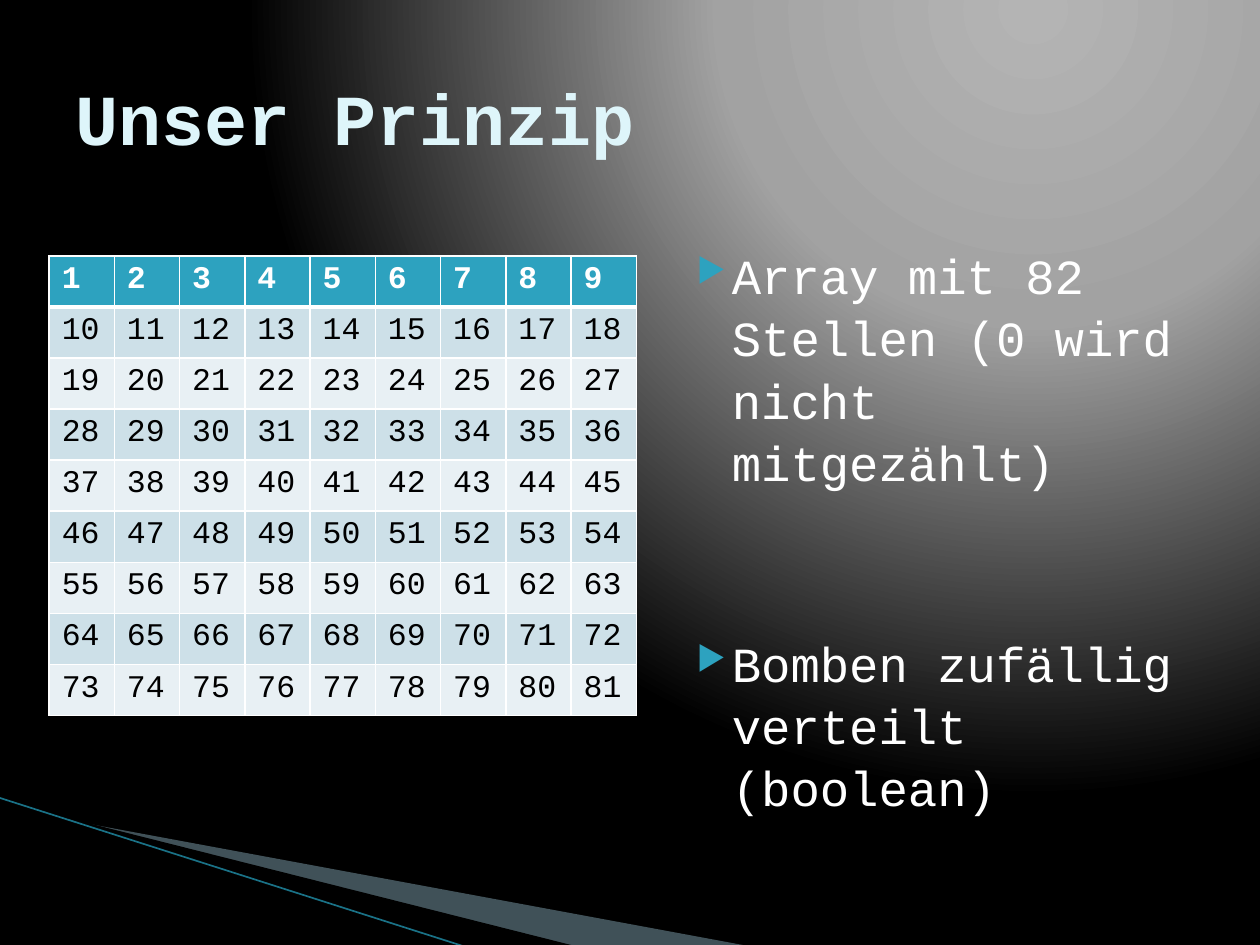
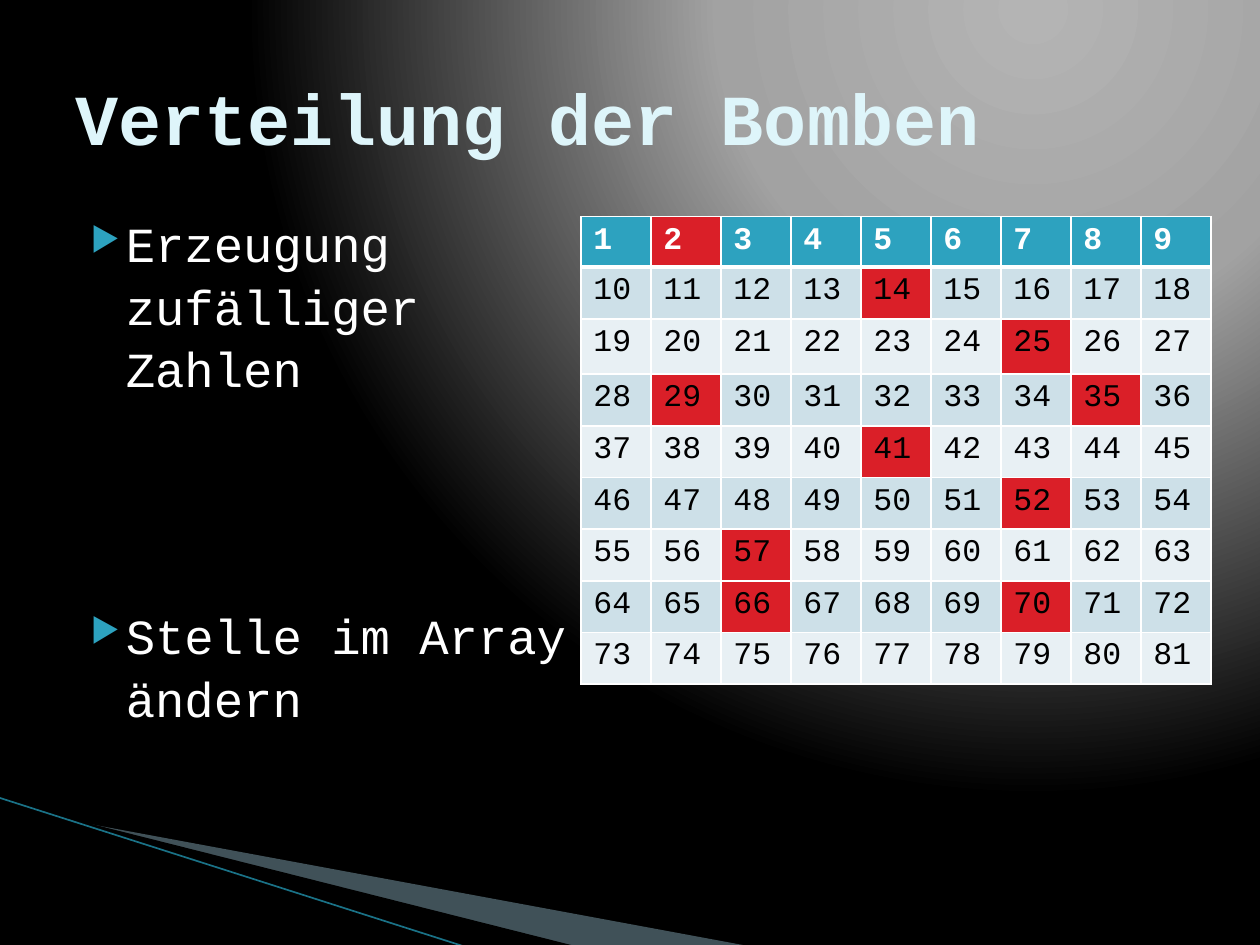
from lxml.etree import SubElement
from pptx import Presentation
from pptx.dml.color import RGBColor
from pptx.enum.shapes import MSO_CONNECTOR
from pptx.enum.text import MSO_ANCHOR
from pptx.oxml.ns import qn
from pptx.util import Inches, Pt

# Shared look
FONT = "Courier New"
WHITE = RGBColor(0xFF, 0xFF, 0xFF)
BLACK = RGBColor(0x00, 0x00, 0x00)
TITLE = RGBColor(0xDE, 0xF5, 0xFA)
TEAL = RGBColor(0x2D, 0xA2, 0xBF)
RED = RGBColor(0xDA, 0x1F, 0x28)
BAND = RGBColor(0xCD, 0xE0, 0xE8)
PALE = RGBColor(0xE8, 0xF0, 0xF4)
WEDGE = RGBColor(0xA0, 0xCB, 0xDC)
EDGE = RGBColor(0x1A, 0x72, 0x87)
GLOW = [(0, "B4B4B4"), (40, "A2A2A2"), (100, "000000")]

SIDE = 9  # cells along each side of the field
BOMBS = {2, 14, 25, 29, 35, 41, 52, 57, 66, 70}


def add_xml(parent, tag, **attrs):
    return SubElement(parent, qn(tag), {k: str(v) for k, v in attrs.items()})


def add_run(para, text, size, color, bold=False):
    run = para.add_run()
    run.text = text
    font = run.font
    font.name, font.size, font.bold = FONT, Pt(size), bold
    font.color.rgb = color


def paint_back(slide):
    """Grey glow from the top right, fading to black."""
    slide.background.fill.gradient()
    grad = slide.element.find(".//" + qn("a:gradFill"))
    for child in list(grad):
        grad.remove(child)
    stops = add_xml(grad, "a:gsLst")
    for pos, color in GLOW:
        stop = add_xml(stops, "a:gs", pos=pos * 1000)
        add_xml(stop, "a:srgbClr", val=color)
    glow = add_xml(grad, "a:path", path="circle")
    add_xml(glow, "a:fillToRect", l=65000, t=0, r=0, b=98000)


def add_wedge(slide, points, color, alpha=None):
    points = [(Inches(x), Inches(y)) for x, y in points]
    form = slide.shapes.build_freeform(*points[0])
    form.add_line_segments(points[1:])
    shape = form.convert_to_shape()
    shape.shadow.inherit = False
    shape.fill.solid()
    shape.fill.fore_color.rgb = color
    shape.line.fill.background()
    if alpha:
        tint = shape.element.spPr.find(qn("a:solidFill"))[0]
        add_xml(tint, "a:alpha", val=alpha * 1000)


def add_edge(slide, start, end):
    line = slide.shapes.add_connector(
        MSO_CONNECTOR.STRAIGHT, *map(Inches, start + end))
    line.line.color.rgb = EDGE
    line.line.width = Pt(0.95)
    add_xml(line.element.spPr, "a:effectLst")


def add_box(slide, *place):
    frame = slide.shapes.add_textbox(*map(Inches, place)).text_frame
    frame.word_wrap = True
    return frame


def add_title(slide, text):
    frame = add_box(slide, 0.5, 0.3, 9, 1.25)
    frame.vertical_anchor = MSO_ANCHOR.MIDDLE
    add_run(frame.paragraphs[0], text, 41, TITLE, True)


def add_list(slide, left, top, items):
    """Items are pairs of text and the space before it in points."""
    frame = add_box(slide, left, top, 4.42, 4.95)
    for i, (text, gap) in enumerate(items):
        para = frame.add_paragraph() if i else frame.paragraphs[0]
        para.space_before = Pt(gap)
        para.line_spacing = 1.06
        props = para._p.get_or_add_pPr()
        props.set("marL", str(Inches(0.4)))
        props.set("indent", str(Inches(-0.28)))
        tint = add_xml(props, "a:buClr")
        add_xml(tint, "a:srgbClr", val=TEAL)
        add_xml(props, "a:buSzPct", val=68000)
        add_xml(props, "a:buChar", char="▶")
        add_run(para, text, 28, WHITE)


def set_edges(cell, row):
    props = cell._tc.get_or_add_tcPr()
    thick = {0: "a:lnB", 1: "a:lnT"}.get(row)
    for tag in ("a:lnL", "a:lnR", "a:lnT", "a:lnB"):
        line = add_xml(props, tag, w=Pt(3 if tag == thick else 1))
        fill = add_xml(line, "a:solidFill")
        add_xml(fill, "a:srgbClr", val=WHITE)


def add_field(slide, left, top, width, rows, bombs=()):
    """Number field, with the bombs marked in red."""
    table = slide.shapes.add_table(
        SIDE, SIDE, Inches(left), Inches(top),
        Inches(width), Inches(sum(rows))).table
    table.horz_banding = False
    for col in table.columns:
        col.width = Inches(width / SIDE)
    for r, high in enumerate(rows):
        table.rows[r].height = Inches(high)
        head = r == 0
        base = TEAL if head else BAND if r % 2 else PALE
        for c in range(SIDE):
            num = r * SIDE + c + 1
            cell = table.cell(r, c)
            set_edges(cell, r)
            cell.fill.solid()
            cell.fill.fore_color.rgb = RED if num in bombs else base
            add_run(cell.text_frame.paragraphs[0], str(num), 18,
                    WHITE if head else BLACK, head)


def add_page(deck, title):
    slide = deck.slides.add_slide(deck.slide_layouts[6])
    paint_back(slide)
    add_wedge(slide, [(0.55, 6.51), (5.95, 7.51), (4.56, 7.51), (0.55, 6.5)],
              WEDGE, 40)
    add_wedge(slide, [(0.53, 6.49), (4.57, 7.51), (3.72, 7.52), (0.54, 6.5)],
              BLACK)
    add_edge(slide, (-0.01, 6.33), (3.71, 7.52))
    add_title(slide, title)
    return slide


def main():
    deck = Presentation()
    deck.slide_width, deck.slide_height = Inches(10), Inches(7.5)

    # Principle
    slide = add_page(deck, "Unser Prinzip")
    add_list(slide, 5.31, 1.87, [
        ("Array mit 82 Stellen (0 wird nicht mitgezählt)", 4),
        ("Bomben zufällig verteilt (boolean)", 79)])
    add_field(slide, 0.39, 2.03, 4.66, [3.65 / SIDE] * SIDE)

    # Bombs
    slide = add_page(deck, "Verteilung der Bomben")
    add_list(slide, 0.5, 1.62, [
        ("Erzeugung zufälliger Zahlen", 4),
        ("Stelle im Array ändern", 117)])
    add_field(slide, 4.61, 1.72, 5, [0.3, 0.41, 0.44] + [0.41] * 6, BOMBS)

    deck.save("out.pptx")


if __name__ == "__main__":
    main()
